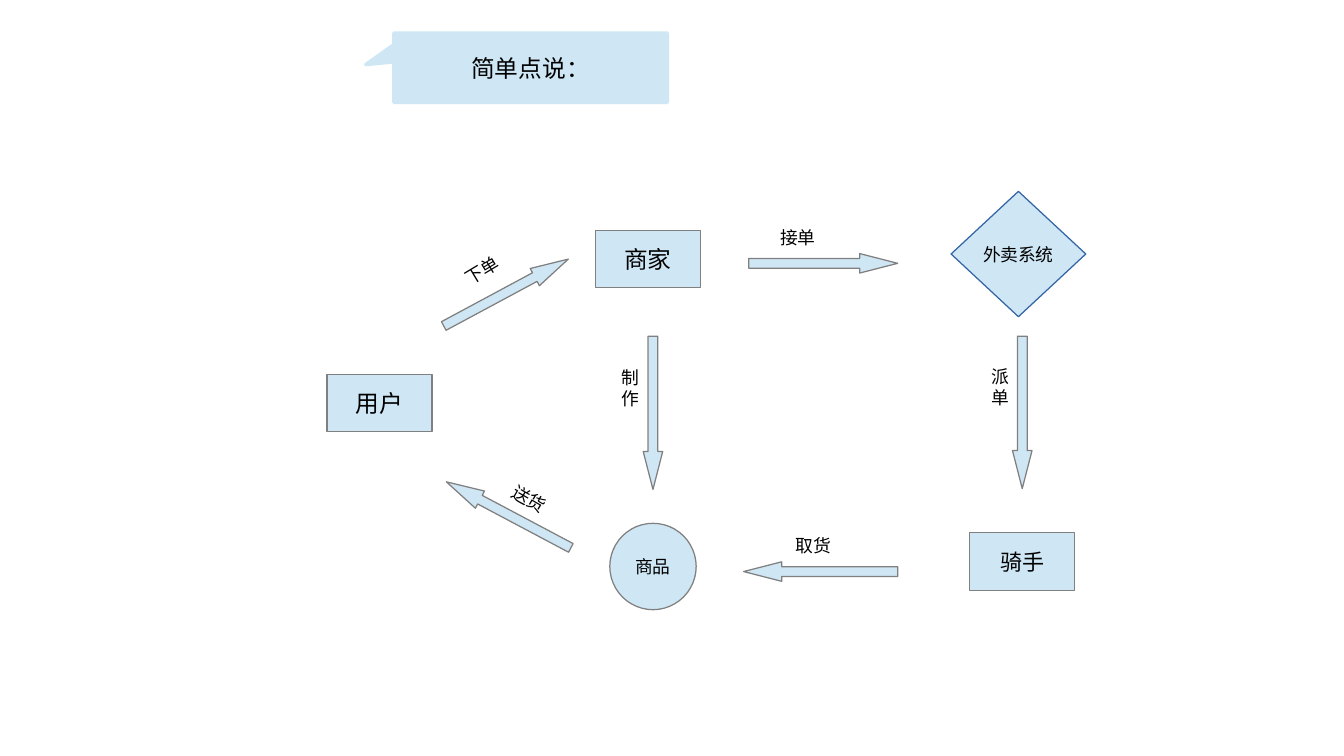
import math

from lxml import etree
from pptx import Presentation
from pptx import util as u
from pptx.dml.color import RGBColor
from pptx.enum import lang, shapes, text
from pptx.oxml.ns import qn

COLORS = {"fill": "CFE7F5", "line": "808080", "diamond": "3465A4", "text": "000000"}
SHAPE = shapes.MSO_SHAPE


class FlowSlide:
    """Holds the style and the current slide."""

    font_name = "Arial"
    line_width = 0.75
    label_size = 10.5
    arrow_height = 11.5

    def __init__(self, slide):
        self.slide = slide

    def add_words(self, shape, words, size, frame_format, alignment):
        frame = shape.text_frame
        for name, value in frame_format.items():
            setattr(frame, name, value)
        paragraph = frame.paragraphs[0]
        paragraph.alignment = alignment
        run = paragraph.add_run()
        run.text = words
        font_format = {"name": self.font_name, "size": u.Pt(size),
                       "language_id": lang.MSO_LANGUAGE_ID.SIMPLIFIED_CHINESE}
        for name, value in font_format.items():
            setattr(run.font, name, value)
        run.font.color.rgb = RGBColor.from_string(COLORS["text"])
        # The East Asian characters use the same font
        east_asian = etree.SubElement(run._r.get_or_add_rPr(), qn("a:ea"))
        east_asian.set("typeface", self.font_name)

    def node(self, kind, box, words="", size=14, line="line", width=line_width,
             adjustments=()):
        shape = self.slide.shapes.add_shape(kind, *map(u.Pt, box))
        shape.shadow.inherit = False
        shape.fill.solid()
        shape.fill.fore_color.rgb = RGBColor.from_string(COLORS["fill"])
        shape.line.color.rgb = RGBColor.from_string(COLORS[line])
        shape.line.width = u.Pt(width)
        for index, value in enumerate(adjustments):
            shape.adjustments[index] = value
        if words:
            frame_format = {"word_wrap": False, "vertical_anchor": text.MSO_ANCHOR.MIDDLE}
            self.add_words(shape, words, size, frame_format, text.PP_ALIGN.CENTER)
        return shape

    def arrow(self, tail, tip):
        (x1, y1), (x2, y2) = tail, tip
        length, height = math.dist(tail, tip), self.arrow_height
        box = ((x1 + x2 - length) / 2, (y1 + y2 - height) / 2, length, height)
        shape = self.node(SHAPE.RIGHT_ARROW, box, adjustments=(0.5, 1.95))
        shape.rotation = math.degrees(math.atan2(y2 - y1, x2 - x1)) % 360

    def label(self, box, words, rotation=0):
        shape = self.slide.shapes.add_textbox(*map(u.Pt, box))
        shape.rotation = rotation
        self.add_words(shape, words, self.label_size, {"word_wrap": True},
                       text.PP_ALIGN.LEFT)


def main():
    presentation = Presentation()
    presentation.slide_width = u.Pt(793.44)
    presentation.slide_height = u.Pt(446.4)
    flow = FlowSlide(presentation.slides.add_slide(presentation.slide_layouts[6]))

    # Heading callout
    flow.node(SHAPE.RECTANGULAR_CALLOUT, (232.5, 19.5, 161.5, 41), "简单点说：",
              line="fill", width=2, adjustments=(-0.603, -0.044))

    # People and businesses
    for left, top, words, size in (
        (193, 221, "用户", 14),
        (351.5, 136, "商家", 14),
        (572.5, 314.5, "骑手", 13),
    ):
        flow.node(SHAPE.RECTANGLE, (left, top, 62, 34), words, size)

    # Goods and ordering system
    flow.node(SHAPE.OVAL, (360, 309, 51, 51), "商品", flow.label_size)
    flow.node(SHAPE.DIAMOND, (561.5, 113, 79.5, 74), "外卖系统", flow.label_size,
              line="diamond")

    # Steps: arrow tail, arrow tip, label box, label, label rotation
    for tail, tip, box, words, rotation in (
        ((262, 192.5), (335.5, 153), (269.5, 144.5, 51, 34.5), "下单", 329),
        ((442, 155.5), (530, 155.5), (453.5, 130.5, 51, 34.5), "接单", 0),
        ((385.5, 198.5), (385.5, 289), (360, 213, 20, 32.5), "制作", 0),
        ((603.5, 198.5), (603.5, 288.5), (578, 212.5, 28, 44.5), "派单", 0),
        ((530, 337.5), (439, 337.5), (462.5, 312, 51, 34.5), "取货", 0),
        ((337, 323.5), (263.5, 284.5), (289.5, 290, 60, 34.5), "送货", 29.9),
    ):
        flow.arrow(tail, tip)
        flow.label(box, words, rotation)

    presentation.save("out.pptx")


if __name__ == "__main__":
    main()
